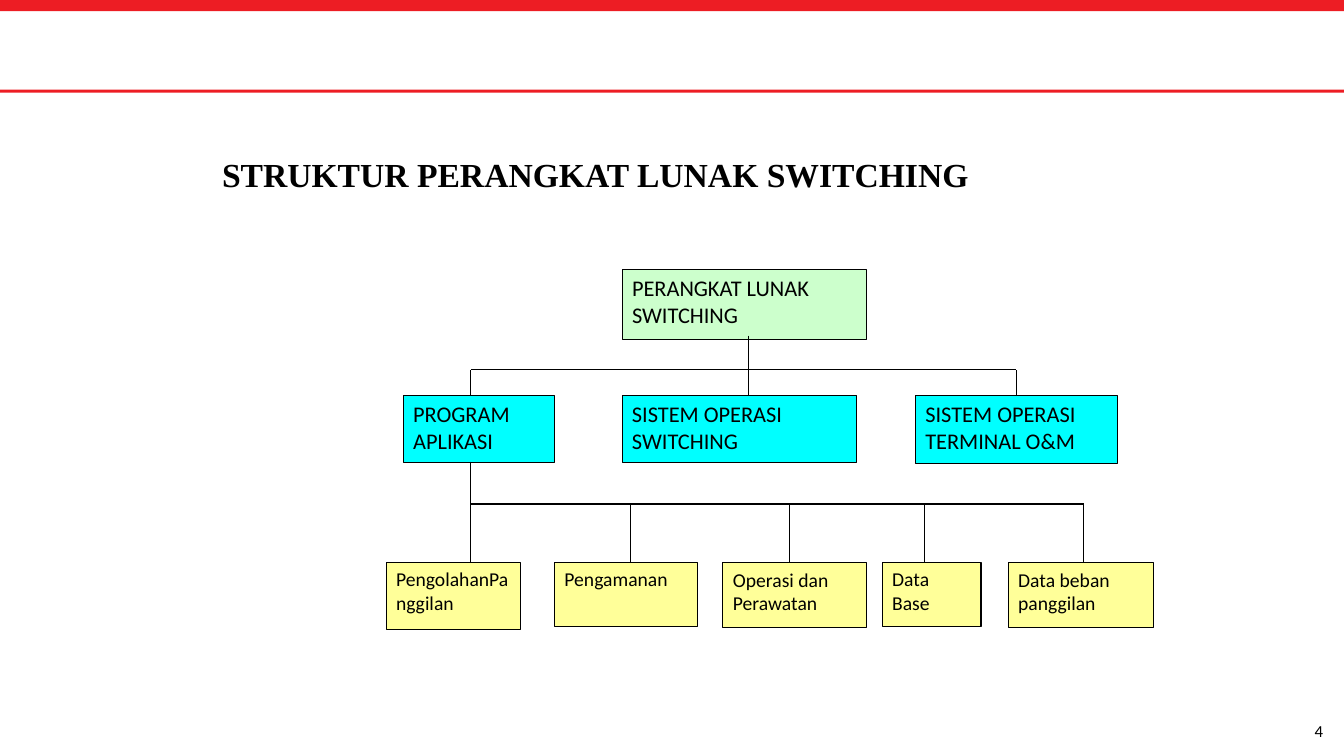
"""Build the slide showing the structure of switching software."""
from typing import NamedTuple

from lxml import etree
from pptx import Presentation
from pptx import util as u
from pptx.dml.color import RGBColor
from pptx.enum import shapes, text
from pptx.oxml.ns import qn

PX = u.Inches(1) // 100
SLIDE_WIDTH, SLIDE_HEIGHT = 1333, 750
COLORS = {
    "accent": "ED1D24",
    "ink": "000000",
    "root": "CCFFCC",
    "system": "00FFFF",
    "function": "FFFF99",
}


class Box(NamedTuple):
    label: str
    left: int
    top: int
    width: int
    height: int
    fill: str
    size: int


class Line(NamedTuple):
    x1: int
    y1: int
    x2: int
    y2: int


SYSTEM_TOP, FUNCTION_TOP = 392, 558
SYSTEM_BUS, FUNCTION_BUS = 367, 500
APPLICATION_X, SWITCHING_X, TERMINAL_X = 467, 742, 1008
FUNCTION_XS = (625, 783, 917, 1075)

ROOT = Box("PERANGKAT LUNAK SWITCHING", 617, 267, 242, 70, "root", 16)
SYSTEMS = [
    Box(label, left, SYSTEM_TOP, width, height, "system", 16)
    for label, left, width, height in (
        ("PROGRAM APLIKASI", 400, 150, 67),
        ("SISTEM OPERASI SWITCHING", 617, 233, 67),
        ("SISTEM OPERASI\nTERMINAL O&M", 908, 200, 68),
    )
]
FUNCTIONS = [
    Box(label, left, FUNCTION_TOP, width, height, "function", 14)
    for label, left, width, height in (
        ("PengolahanPanggilan", 383, 133, 67),
        ("Pengamanan", 550, 142, 64),
        ("Operasi dan\nPerawatan", 717, 142, 65),
        ("Data Base", 875, 98, 64),
        ("Data beban\npanggilan", 1000, 144, 65),
    )
]
BRANCHES = [
    Line(SWITCHING_X, 333, SWITCHING_X, SYSTEM_TOP),
    Line(APPLICATION_X, SYSTEM_TOP, APPLICATION_X, SYSTEM_BUS),
    Line(APPLICATION_X, SYSTEM_BUS, TERMINAL_X, SYSTEM_BUS),
    Line(APPLICATION_X, 458, APPLICATION_X, FUNCTION_TOP),
    Line(APPLICATION_X, FUNCTION_BUS, FUNCTION_XS[-1], FUNCTION_BUS),
    *(Line(x, FUNCTION_BUS, x, FUNCTION_TOP) for x in FUNCTION_XS),
]


def color(name: str) -> RGBColor:
    return RGBColor.from_string(COLORS[name])


def write(holder, content: str, *, size: int, font: str = "Calibri",
          bold: bool = False, align=text.PP_ALIGN.LEFT,
          anchor=text.MSO_ANCHOR.TOP, spacing: float = 1.0) -> None:
    frame = holder.text_frame
    frame.word_wrap = True
    frame.vertical_anchor = anchor
    frame.text = content
    for paragraph in frame.paragraphs:
        paragraph.alignment = align
        paragraph.line_spacing = spacing
        for run in paragraph.runs:
            run.font.name = font
            run.font.size = u.Pt(size)
            run.font.bold = bold
            run.font.color.rgb = color("ink")


def draw_rectangle(slide, left: int, top: int, width: int, height: int,
                   fill: str, outlined: bool = False):
    rectangle = slide.shapes.add_shape(
        shapes.MSO_SHAPE.RECTANGLE, left * PX, top * PX, width * PX, height * PX)
    rectangle.shadow.inherit = False
    rectangle.fill.solid()
    rectangle.fill.fore_color.rgb = color(fill)
    if outlined:
        rectangle.line.color.rgb = color("ink")
        rectangle.line.width = u.Pt(0.75)
    else:
        rectangle.line.fill.background()
    return rectangle


def draw_box(slide, box: Box):
    rectangle = draw_rectangle(
        slide, box.left, box.top, box.width, box.height, box.fill, outlined=True)
    write(rectangle, box.label, size=box.size)
    return rectangle


def draw_line(slide, line: Line):
    connector = slide.shapes.add_connector(
        shapes.MSO_CONNECTOR.STRAIGHT, *(length * PX for length in line))
    connector.line.color.rgb = color("ink")
    connector.line.width = u.Pt(0.75)
    etree.SubElement(connector.element.spPr, qn("a:effectLst"))
    return connector


def main() -> None:
    deck = Presentation()
    deck.slide_width, deck.slide_height = SLIDE_WIDTH * PX, SLIDE_HEIGHT * PX
    slide = deck.slides.add_slide(deck.slide_layouts[6])

    for top, height in ((0, 11), (89, 3)):
        draw_rectangle(slide, 0, top, SLIDE_WIDTH, height, "accent")

    page_number = slide.shapes.add_textbox(1044 * PX, 700 * PX, 278 * PX, 50 * PX)
    write(page_number, "4", size=12, align=text.PP_ALIGN.RIGHT,
          anchor=text.MSO_ANCHOR.MIDDLE)
    heading = slide.shapes.add_textbox(24 * PX, 113 * PX, 1133 * PX, 125 * PX)
    write(heading, "STRUKTUR PERANGKAT LUNAK SWITCHING", size=24,
          font="Times New Roman", bold=True, align=text.PP_ALIGN.CENTER,
          anchor=text.MSO_ANCHOR.MIDDLE, spacing=0.9)

    draw_box(slide, ROOT)
    *_, terminal = [draw_box(slide, system) for system in SYSTEMS]
    for function in FUNCTIONS:
        draw_box(slide, function)
    for branch in BRANCHES:
        draw_line(slide, branch)
    terminal_branch = draw_line(
        slide, Line(TERMINAL_X, SYSTEM_TOP, TERMINAL_X, SYSTEM_BUS))
    terminal_branch.begin_connect(terminal, 0)

    deck.save("out.pptx")


if __name__ == "__main__":
    main()
